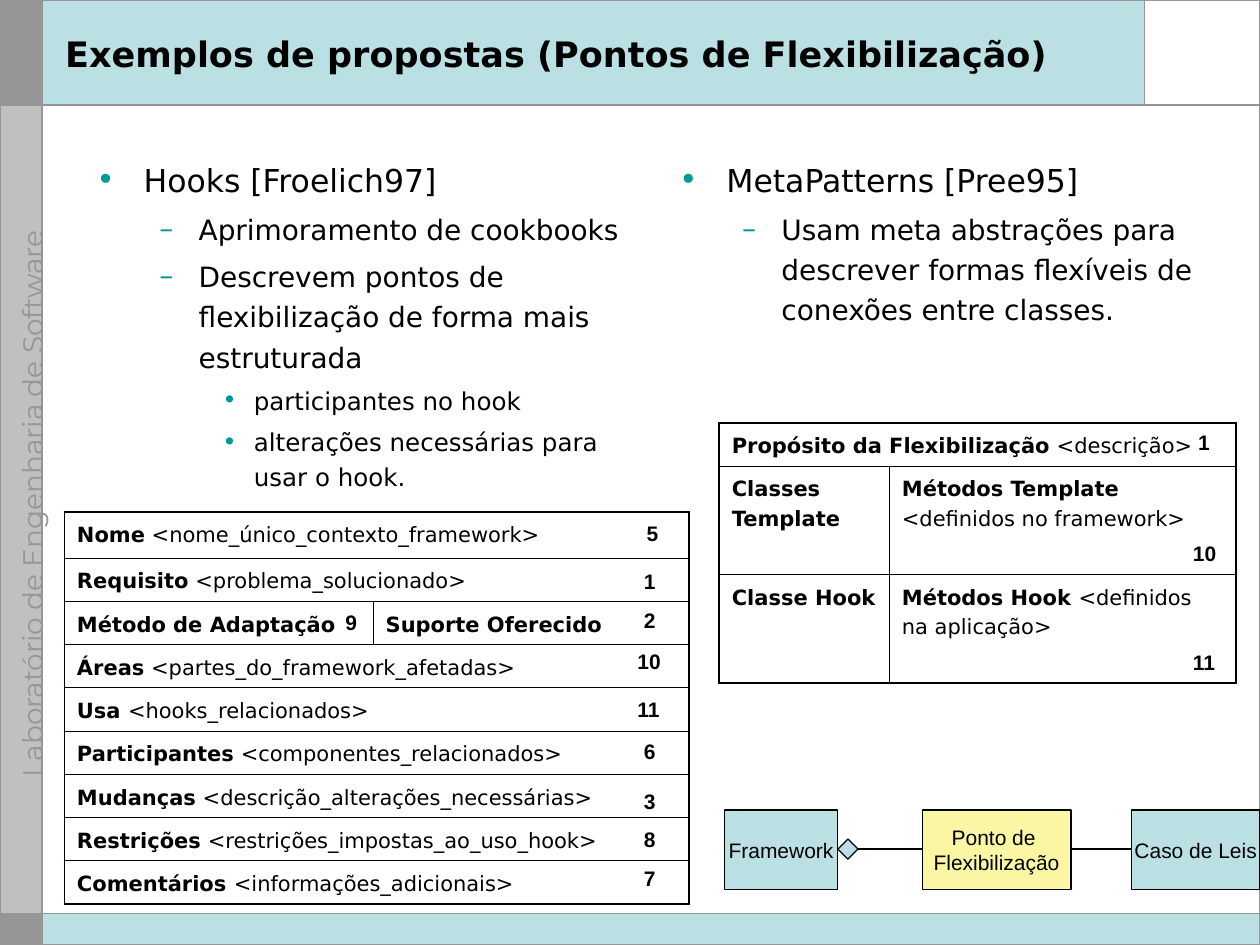
import pptx
import pptx.util
import pptx.dml.color
import pptx.enum.shapes
import pptx.enum.text
import pptx.oxml
import pptx.oxml.ns
from dataclasses import dataclass

Pt = pptx.util.Pt
Kind = pptx.enum.shapes.MSO_SHAPE
Align = pptx.enum.text.PP_ALIGN
Anchor = pptx.enum.text.MSO_ANCHOR
Fit = pptx.enum.text.MSO_AUTO_SIZE
qn = pptx.oxml.ns.qn


@dataclass(frozen=True)
class Theme:
    ink: str = "000000"
    paper: str = "FFFFFF"
    aqua: str = "BBE0E3"
    yellow: str = "FAF6A4"
    teal: str = "009999"
    gray: str = "969696"
    silver: str = "C0C0C0"
    sans: str = "DejaVu Sans"
    label: str = "Arial"
    side: str = "Montserrat"
    title: int = 20
    small: int = 12
    strip: int = 16
    # size, left margin, hanging indent, space before, bullet
    levels: tuple = ((18, 27, 27, 4.5, "•"), (16, 58.5, 22.5, 4, "–"),
                     (14, 90, 18, 3.5, "•"))


T = Theme()


def color(code):
    return pptx.dml.color.RGBColor.from_string(code)


def node(parent, tag, **attrs):
    item = parent.makeelement(qn(tag), attrs)
    parent.append(item)
    return item


def write(frame, *runs, size=T.small, font=T.sans, ink=T.ink, bold=(False,),
          align=Align.LEFT, lead=None, before=0, level=None):
    """Add one paragraph; bold holds one flag for each run."""
    first = not frame.text
    para = frame.paragraphs[0] if first else frame.add_paragraph()
    if level is not None:
        size, left, hang, before, mark = T.levels[level]
        para.level = level
        props = para._p.get_or_add_pPr()
        props.set("marL", str(Pt(left)))
        props.set("indent", str(-Pt(hang)))
        node(node(props, "a:buClr"), "a:srgbClr", val=T.teal)
        node(props, "a:buFont", typeface=font)
        node(props, "a:buChar", char=mark)
    para.alignment = align
    para.line_spacing = lead
    para.space_before = Pt(0 if first else before)
    for text, heavy in zip(runs, bold):
        for i, line in enumerate(text.split("\n")):
            if i:
                para.add_line_break()
            run = para.add_run()
            run.text = line
            run.font.size, run.font.name = Pt(size), font
            run.font.bold, run.font.color.rgb = heavy, color(ink)


def block(slide, x, y, w, h, fill=None, line=None, width=0.75, kind=Kind.RECTANGLE):
    shape = slide.shapes.add_shape(kind, Pt(x), Pt(y), Pt(w), Pt(h))
    shape.shadow.inherit = False
    if fill:
        shape.fill.solid()
        shape.fill.fore_color.rgb = color(fill)
    else:
        shape.fill.background()
    if line:
        shape.line.color.rgb, shape.line.width = color(line), Pt(width)
    else:
        shape.line.fill.background()
    return shape


def rule(slide, x1, y1, x2, y2, ink=T.ink, width=0.75):
    line = slide.shapes.add_connector(
        pptx.enum.shapes.MSO_CONNECTOR.STRAIGHT, Pt(x1), Pt(y1), Pt(x2), Pt(y2))
    line.line.color.rgb, line.line.width = color(ink), Pt(width)
    node(line._element.spPr, "a:effectLst")


def note(slide, x, y, w, h, wrap=False):
    box = slide.shapes.add_textbox(Pt(x), Pt(y), Pt(w), Pt(h))
    box.text_frame.word_wrap = wrap
    return box


def backdrop(slide, x, y, w, h):
    edge, head, foot, corner = x + 24, y + 60, y + 522, x + 654
    # Bands and side strip
    block(slide, x, y, 24, 60, T.gray, T.gray)
    block(slide, edge, y, w - 24, 60, T.aqua)
    block(slide, x, head, 24, foot - head, T.silver, T.silver)
    block(slide, corner, y, w - 654, 60, T.paper)
    block(slide, edge, foot, w - 24, h - 522, T.aqua)
    # Caption, long enough for one line before it is turned
    side = note(slide, x - 168.5, y + 281.5, 360, 13)
    side.rotation = 270
    write(side.text_frame, "Laboratório de Engenharia de Software",
          size=T.strip, font=T.side, ink=T.gray, align=Align.CENTER)
    block(slide, x, foot, 24, h - 522, T.gray, T.gray)
    # Rules and outer frame
    for ends in ((corner, y, corner, head), (x, head, x + w, head),
                 (edge, y, edge, y + h), (x, foot, x + w, foot)):
        rule(slide, *ends, ink=T.gray, width=1)
    block(slide, x, y, w, h, line=T.gray, width=1)


def heading(slide, x, y, w, h):
    title = slide.shapes.title
    slide.shapes._spTree.append(title._element)  # bring in front of the band
    title.left, title.top, title.width, title.height = Pt(x), Pt(y), Pt(w), Pt(h)
    frame = title.text_frame
    frame.auto_size, frame.vertical_anchor = Fit.NONE, Anchor.MIDDLE
    frame.word_wrap = True
    write(frame, "Exemplos de propostas (Pontos de Flexibilização)",
          size=T.title, bold=(True,))


def outline(slide, x, y, w, h, items):
    frame = note(slide, x, y, w, h, wrap=True).text_frame
    for level, text in items:
        write(frame, text, level=level, lead=1.2)


def border(cell, sides):
    props = cell._tc.get_or_add_tcPr()
    for i, (side, outer) in enumerate(zip("LRTB", sides)):
        line = props.makeelement(qn("a:ln" + side), {"w": str(Pt(1.08 if outer else 0.45))})
        node(node(line, "a:solidFill"), "a:srgbClr", val=T.ink)
        props.insert(i, line)


def grid(slide, x, y, cols, heights, rows, tags):
    """A row with one entry spans both columns; tags are (text, x, y, width)."""
    table = slide.shapes.add_table(len(rows), len(cols), Pt(x), Pt(y),
                                   Pt(sum(cols)), Pt(sum(heights))).table
    table.first_row = table.horz_banding = False
    for column, size in zip(table.columns, cols):
        column.width = Pt(size)
    for r, row in enumerate(rows):
        table.rows[r].height = Pt(heights[r])
        if len(row) == 1:
            table.cell(r, 0).merge(table.cell(r, 1))
        for c in range(2):
            cell = table.cell(r, c)
            cell.fill.background()
            border(cell, (c == 0, c == 1 or len(row) == 1, r == 0, r == len(rows) - 1))
            if c < len(row):
                write(cell.text_frame, *row[c], bold=(True, False), lead=1.2)
    # Counts over the cells
    for text, dx, dy, size in tags:
        box = note(slide, x + dx, y + dy, size, 21.6)
        box.text_frame.auto_size = Fit.SHAPE_TO_FIT_TEXT
        write(box.text_frame, text, font=T.label, bold=(True,))


def diagram(slide, x, y, w, h):
    mid = y + h / 2 - 0.4
    parts = (("Framework", 0, 64.8, T.aqua),
             ("Ponto de \nFlexibilização", 113, 85, T.yellow),
             ("Caso de Leis", 232.6, w - 232.6, T.aqua))
    for text, dx, size, fill in parts:
        frame = block(slide, x + dx, y, size, h, fill, T.ink).text_frame
        frame.word_wrap, frame.vertical_anchor = False, Anchor.MIDDLE
        write(frame, text, font=T.label, align=Align.CENTER)
    for a, b in zip(parts, parts[1:]):
        rule(slide, x + a[1] + a[2], mid, x + b[1], mid)
    block(slide, x + 64.8, mid - 5.75, 11.5, 11.5, T.aqua, T.ink,
          kind=Kind.FLOWCHART_DECISION)


def main():
    deck = pptx.Presentation()
    deck.slide_width, deck.slide_height = Pt(720), Pt(540)
    slide = deck.slides.add_slide(deck.slide_layouts[5])
    backdrop(slide, 0, 0, 720, 540)
    heading(slide, 30, 8.4, 618, 44.6)
    outline(slide, 48, 84, 321, 420, (
        (0, "Hooks [Froelich97]"),
        (1, "Aprimoramento de cookbooks"),
        (1, "Descrevem pontos de flexibilização de forma mais estruturada"),
        (2, "participantes no hook"),
        (2, "alterações necessárias para usar o hook.")))
    outline(slide, 381, 84, 321, 420, (
        (0, "MetaPatterns [Pree95]"),
        (1, "Usam meta abstrações para descrever formas flexíveis de "
            "conexões entre classes.")))
    # Hook template
    grid(slide, 36.8, 292.4, (176.4, 180.7), (26.6,) + (24.7,) * 8, (
        (("Nome", " <nome_único_contexto_framework>"),),
        (("Requisito", " <problema_solucionado>"),),
        (("Método de Adaptação",), ("Suporte Oferecido",)),
        (("Áreas", " <partes_do_framework_afetadas>"),),
        (("Usa ", "<hooks_relacionados>"),),
        (("Participantes", " <componentes_relacionados>"),),
        (("Mudanças", " <descrição_alterações_necessárias>"),),
        (("Restrições", " <restrições_impostas_ao_uso_hook>"),),
        (("Comentários ", "<informações_adicionais>"),)), (
        ("5", 325.6, 1.4, 21), ("1", 324, 28.8, 24.4), ("2", 324, 51.2, 24.4),
        ("9", 153.4, 52.5, 21), ("10", 320.4, 74.9, 31), ("11", 320.4, 102.2, 31),
        ("6", 324, 126, 24.4), ("3", 324, 154.8, 24.4), ("8", 324, 176.4, 24.4),
        ("7", 324, 198.7, 24.4)))
    # Metapattern template
    grid(slide, 411, 241.8, (97.2, 198), (24.6, 61.9, 61.9), (
        (("Propósito da Flexibilização", " <descrição>"),),
        (("Classes Template",), ("Métodos Template", " <definidos no framework>")),
        (("Classe Hook",), ("Métodos Hook ", "<definidos na aplicação>"))), (
        ("1", 266.5, 0, 24.4), ("10", 263.6, 63.5, 31), ("11", 263.6, 125.6, 31)))
    diagram(slide, 414, 462.8, 306, 45.6)
    deck.save("out.pptx")


if __name__ == "__main__":
    main()
